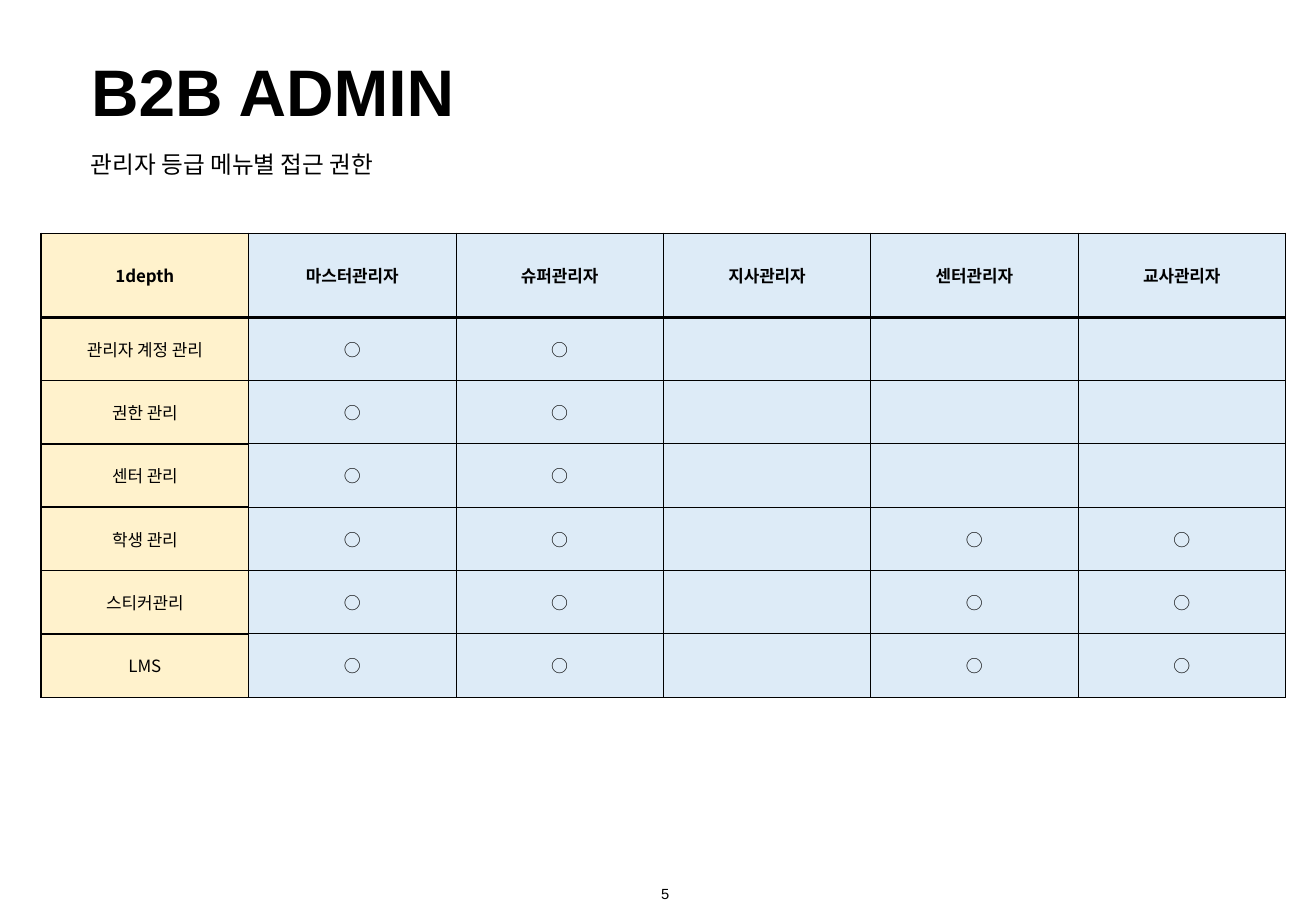
from dataclasses import dataclass

from lxml.etree import SubElement
from pptx import Presentation
from pptx.dml.color import RGBColor
from pptx.enum.text import MSO_ANCHOR, PP_ALIGN
from pptx.oxml.ns import qn
from pptx.util import Cm, Pt


@dataclass(frozen=True)
class Theme:
    """Colours, fonts, type sizes and line widths of the slide."""

    ink: str = "000000"
    menu_fill: str = "FFF2CC"
    role_fill: str = "DDEBF7"
    latin_font: str = "Arial"
    korean_font: str = "Noto Sans CJK KR"
    title_size: float = 39
    subtitle_size: float = 14
    table_size: float = 10
    number_size: float = 8.7
    thin: float = 0.5
    medium: float = 1
    thick: float = 2


@dataclass(frozen=True)
class Box:
    """A rectangle on the slide, in centimetres."""

    left: float
    top: float
    width: float
    height: float

    def lengths(self):
        """Return left, top, width and height as lengths."""
        return Cm(self.left), Cm(self.top), Cm(self.width), Cm(self.height)


THEME = Theme()
ROLES = ["마스터관리자", "슈퍼관리자", "지사관리자", "센터관리자", "교사관리자"]
TOP_ROLES = {"마스터관리자", "슈퍼관리자"}
STUDENT_ROLES = TOP_ROLES | {"센터관리자", "교사관리자"}
MENU_ACCESS = {
    "관리자 계정 관리": TOP_ROLES,
    "권한 관리": TOP_ROLES,
    "센터 관리": TOP_ROLES,
    "학생 관리": STUDENT_ROLES,
    "스티커관리": STUDENT_ROLES,
    "LMS": STUDENT_ROLES,
}


def style_paragraph(paragraph, size, font_name, bold=False, align=PP_ALIGN.LEFT):
    """Set the alignment and the font of a paragraph."""
    paragraph.alignment = align
    font = paragraph.font
    font.size, font.bold, font.name = Pt(size), bold, font_name
    font.color.rgb = RGBColor.from_string(THEME.ink)
    if font_name == THEME.korean_font:
        properties = paragraph._p.get_or_add_pPr().get_or_add_defRPr()
        SubElement(properties, qn("a:ea"), typeface=font_name)


def add_title(slide, box):
    """Place the title placeholder in its box."""
    title = slide.shapes.title
    title.left, title.top, title.width, title.height = box.lengths()
    frame = title.text_frame
    frame.text = "B2B ADMIN"
    frame.vertical_anchor = MSO_ANCHOR.TOP
    frame.margin_top = Cm(0.25)
    style_paragraph(frame.paragraphs[0], THEME.title_size, THEME.latin_font, bold=True)


def add_text(slide, box, text, size, align=PP_ALIGN.LEFT):
    """Add one line of text, centred vertically in its box."""
    frame = slide.shapes.add_textbox(*box.lengths()).text_frame
    frame.word_wrap = True
    frame.vertical_anchor = MSO_ANCHOR.MIDDLE
    frame.text = text
    style_paragraph(frame.paragraphs[0], size, THEME.latin_font, align=align)


def set_borders(cell, widths):
    """Draw the borders of a cell from a mapping of side to width."""
    properties = cell._tc.get_or_add_tcPr()
    for side, width in widths.items():
        line = SubElement(properties, qn(f"a:ln{side}"), w=str(Pt(width)))
        fill = SubElement(line, qn("a:solidFill"))
        SubElement(fill, qn("a:srgbClr"), val=THEME.ink)


def border_widths(row, column, last_column):
    """Return the border widths for a cell's place in the table."""
    inner = THEME.thin if column else THEME.medium
    return {
        "L": inner,
        "R": THEME.medium if column == last_column else THEME.thin,
        "T": {0: THEME.medium, 1: THEME.thick}.get(row, inner),
        "B": inner if row else THEME.thick,
    }


def fill_cell(cell, text, fill, bold, borders):
    """Write and format one table cell."""
    set_borders(cell, borders)
    cell.fill.solid()
    cell.fill.fore_color.rgb = RGBColor.from_string(fill)
    cell.margin_left = cell.margin_right = cell.margin_top = cell.margin_bottom = 0
    cell.vertical_anchor = MSO_ANCHOR.MIDDLE
    cell.text = text
    style_paragraph(cell.text_frame.paragraphs[0], THEME.table_size,
                    THEME.korean_font, bold, PP_ALIGN.CENTER)


def add_access_table(slide, box, header_height):
    """Add the table of menus against administrator roles."""
    rows = [["1depth", *ROLES]]
    for menu, allowed in MENU_ACCESS.items():
        rows.append([menu, *("○" if role in allowed else "" for role in ROLES)])
    last_column = len(ROLES)
    table = slide.shapes.add_table(len(rows), last_column + 1, *box.lengths()).table
    table.first_row = table.horz_banding = False
    for column in table.columns:
        column.width = Cm(box.width / len(rows[0]))
    body_height = (box.height - header_height) / len(MENU_ACCESS)
    for row, texts in enumerate(rows):
        table.rows[row].height = Cm(body_height if row else header_height)
        for column, text in enumerate(texts):
            fill_cell(table.cell(row, column), text,
                      THEME.role_fill if column else THEME.menu_fill,
                      row == 0, border_widths(row, column, last_column))


def build_access_slide(presentation):
    """Build the slide of menu access by administrator role."""
    slide = presentation.slides.add_slide(presentation.slide_layouts[5])
    add_title(slide, Box(1.65, 0.81, 23.06, 1.78))
    add_text(slide, Box(1.65, 3, 13.77, 0.86), "관리자 등급 메뉴별 접근 권한",
             THEME.subtitle_size)
    add_access_table(slide, Box(0.86, 4.88, 26.01, 9.7), header_height=1.75)
    add_text(slide, Box(13.18, 18.36, 1.45, 0.66), "5", THEME.number_size,
             PP_ALIGN.CENTER)


def main():
    """Create and save the presentation."""
    presentation = Presentation()
    presentation.slide_width, presentation.slide_height = Cm(27.51), Cm(19.05)
    build_access_slide(presentation)
    presentation.save("out.pptx")


if __name__ == "__main__":
    main()
